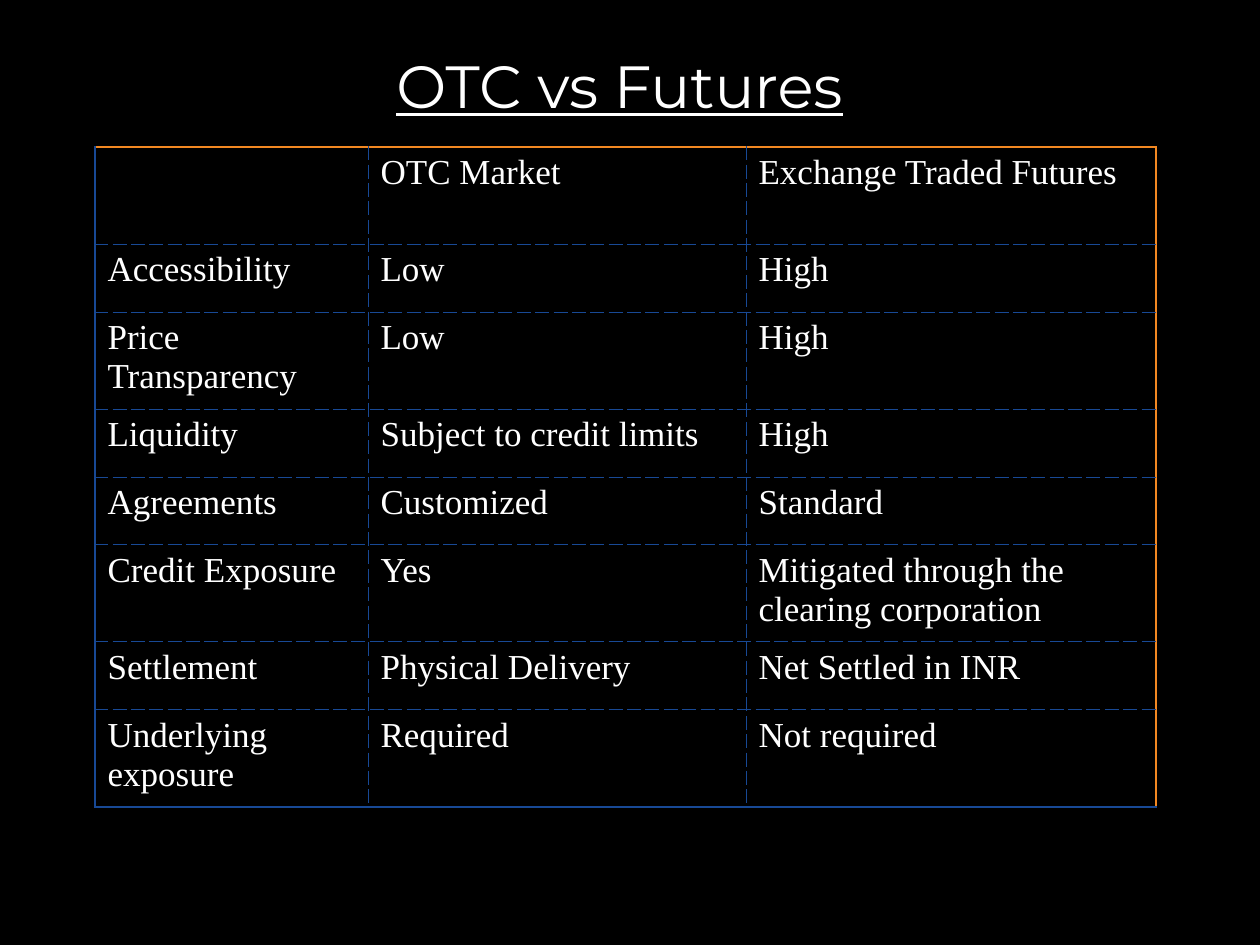
import pptx
import pptx.dml.color
import pptx.enum.text
import pptx.oxml.ns
import pptx.util
from lxml import etree

COLORS = {"black": "000000", "white": "FFFFFF", "blue": "184995", "orange": "F28822"}
PX = 914400 / 126

COMPARISON = [
    ("", "OTC Market", "Exchange Traded Futures"),
    ("Accessibility", "Low", "High"),
    ("Price Transparency", "Low", "High"),
    ("Liquidity", "Subject to credit limits", "High"),
    ("Agreements", "Customized", "Standard"),
    ("Credit Exposure", "Yes", "Mitigated through the clearing corporation"),
    ("Settlement", "Physical Delivery", "Net Settled in INR"),
    ("Underlying exposure", "Required", "Not required"),
]
COLUMN_WIDTHS = [273, 378, 410]
TALL, SHORT = 97, 68
ROW_HEIGHTS = [TALL, SHORT, TALL, SHORT, SHORT, TALL, SHORT, TALL]


def px(length):
    return pptx.util.Emu(round(length * PX))


def rgb(name):
    return pptx.dml.color.RGBColor.from_string(COLORS[name])


class Deck:
    title_font, title_size = "Montserrat", 34
    body_font, body_size = "Times New Roman", 20
    outer_width, inner_width = 1.08, 0.45

    def __init__(self, width, height):
        self.presentation = pptx.Presentation()
        self.presentation.slide_width = px(width)
        self.presentation.slide_height = px(height)
        self.slide = None

    def add_slide(self, background):
        self.slide = self.presentation.slides.add_slide(self.presentation.slide_layouts[6])
        self.slide.background.fill.solid()
        self.slide.background.fill.fore_color.rgb = rgb(background)

    def add_wording(self, paragraph, wording, font, size, underline=None):
        run = paragraph.add_run()
        run.text = wording
        run.font.name = font
        run.font.size = pptx.util.Pt(size)
        run.font.underline = underline
        run.font.color.rgb = rgb("white")

    def title(self, wording, left, top, width, height):
        frame = self.slide.shapes.add_textbox(px(left), px(top), px(width), px(height)).text_frame
        frame.word_wrap = True
        frame.vertical_anchor = pptx.enum.text.MSO_ANCHOR.MIDDLE
        heading = frame.paragraphs[0]
        heading.alignment = pptx.enum.text.PP_ALIGN.CENTER
        self.add_wording(heading, wording, self.title_font, self.title_size, True)

    def border(self, cell, side, color, outer):
        width = self.outer_width if outer else self.inner_width
        line = etree.SubElement(cell._tc.get_or_add_tcPr(), pptx.oxml.ns.qn(f"a:ln{side}"),
                                w=str(pptx.util.Pt(width)))
        fill = etree.SubElement(line, pptx.oxml.ns.qn("a:solidFill"))
        etree.SubElement(fill, pptx.oxml.ns.qn("a:srgbClr"), val=COLORS[color])
        etree.SubElement(line, pptx.oxml.ns.qn("a:prstDash"), val="solid" if outer else "dash")

    def table(self, rows, left, top, widths, heights):
        table = self.slide.shapes.add_table(
            len(rows), len(widths), px(left), px(top), px(sum(widths)), px(sum(heights))).table
        table.first_row = table.horz_banding = False
        for column, width in zip(table.columns, widths):
            column.width = px(width)
        for row, height in zip(table.rows, heights):
            row.height = px(height)
        last_row, last_column = len(rows) - 1, len(widths) - 1
        for r, wordings in enumerate(rows):
            for c, wording in enumerate(wordings):
                cell = table.cell(r, c)
                self.border(cell, "L", "blue", c == 0)
                self.border(cell, "R", "orange" if c == last_column else "blue", c == last_column)
                self.border(cell, "T", "orange" if r == 0 else "blue", r == 0)
                self.border(cell, "B", "blue", r == last_row)
                cell.fill.background()
                if wording:
                    self.add_wording(cell.text_frame.paragraphs[0], wording,
                                     self.body_font, self.body_size)


def main():
    deck = Deck(1260, 945)
    deck.add_slide("black")
    deck.title("OTC vs Futures", 84, 32, 1071, 105)
    deck.table(COMPARISON, 95, 147, COLUMN_WIDTHS, ROW_HEIGHTS)
    deck.presentation.save("out.pptx")


if __name__ == "__main__":
    main()
